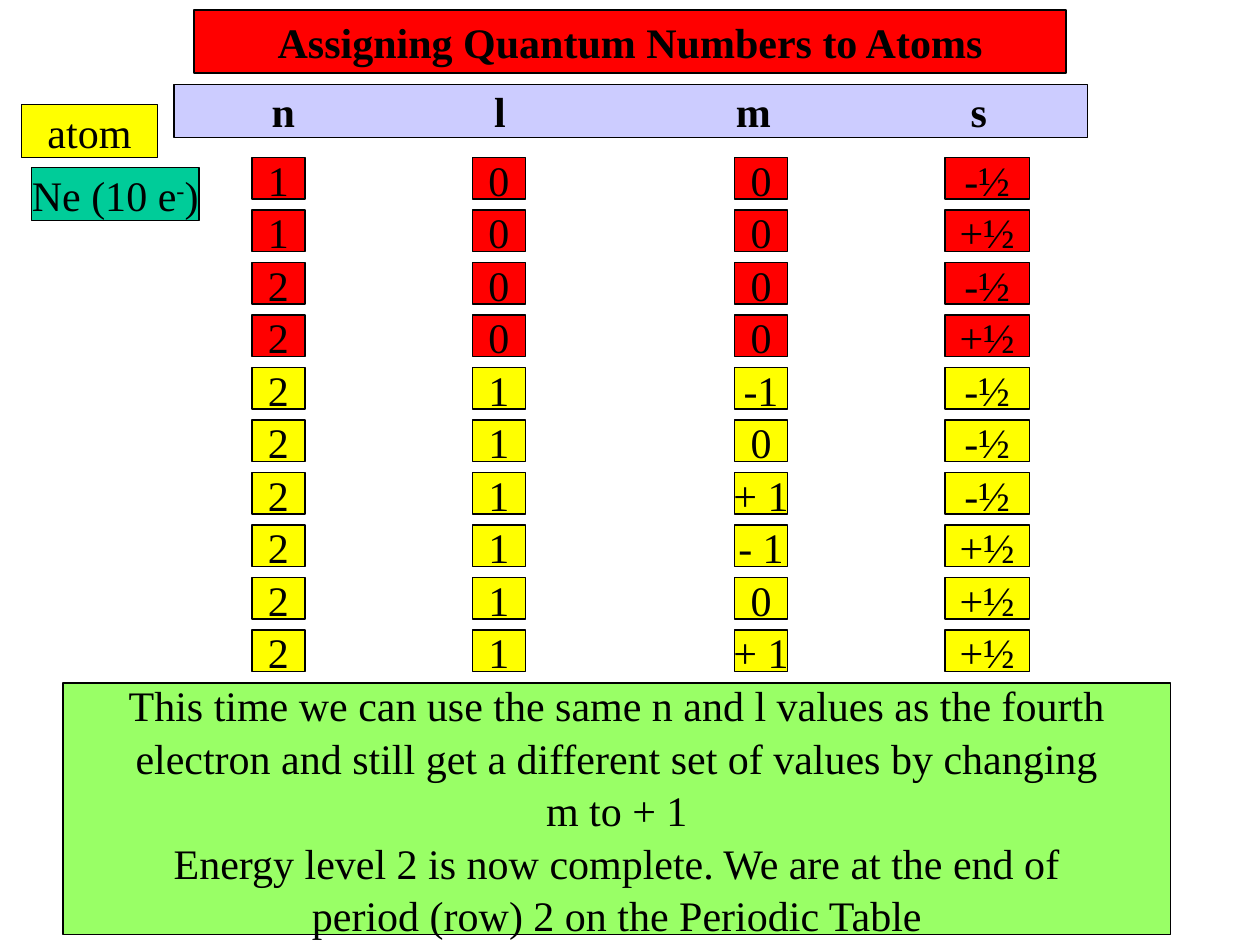
from lxml import etree
from pptx import Presentation
from pptx.dml.color import RGBColor
from pptx.enum.shapes import MSO_SHAPE
from pptx.enum.text import MSO_ANCHOR, MSO_AUTO_SIZE, PP_ALIGN
from pptx.oxml.ns import qn
from pptx.util import Inches, Pt

RECTANGLE = MSO_SHAPE.RECTANGLE
MIDDLE = MSO_ANCHOR.MIDDLE
NO_AUTOFIT = MSO_AUTO_SIZE.NONE
CENTER, LEFT = PP_ALIGN.CENTER, PP_ALIGN.LEFT

COLORS = {
    "red": "FF0000",
    "yellow": "FFFF00",
    "lavender": "CCCCFF",
    "teal": "00CC99",
    "green": "99FF66",
    "black": "000000",
}
TITLE_ONLY = 5

# Centres of the header letters, measured from the text edge of the header.
HEADER_STOPS = (0.77, 2.49, 4.5, 6.29)
# Left edge and width of each column: n, l, m, s.
COLUMNS = ((2, 0.42), (3.75, 0.42), (5.83, 0.42), (7.5, 0.67))
FIRST_ROW, ROW_PITCH, ROW_HEIGHT = 1.25, 5 / 12, 0.33
ELECTRONS = (
    ("1", "0", "0", "-½"),
    ("1", "0", "0", "+½"),
    ("2", "0", "0", "-½"),
    ("2", "0", "0", "+½"),
    ("2", "1", "-1", "-½"),
    ("2", "1", "0", "-½"),
    ("2", "1", "+ 1", "-½"),
    ("2", "1", "- 1", "+½"),
    ("2", "1", "0", "+½"),
    ("2", "1", "+ 1", "+½"),
)
NOTE = (
    "This time we can use the same n and l values as the fourth",
    "electron and still get a different set of values by changing",
    "m to + 1",
    "Energy level 2 is now complete. We are at the end of",
    "period (row) 2 on the Periodic Table",
)


def color(name):
    """Return the named colour."""
    return RGBColor.from_string(COLORS[name])


def add_span(para, text, font="Times New Roman", size=24, bold=False, raised=False):
    """Add formatted text to a paragraph, raised for a superscript."""
    span = para.add_run()
    span.text = text
    span.font.name = font
    span.font.size = Pt(size)
    span.font.bold = bold
    span.font.color.rgb = color("black")
    if raised:
        span.font._element.set("baseline", "30000")


def add_center_stops(para, positions):
    """Give a paragraph centred tab stops at the positions in inches."""
    stops = etree.SubElement(para._p.get_or_add_pPr(), qn("a:tabLst"))
    for position in positions:
        etree.SubElement(stops, qn("a:tab"), pos=str(Inches(position)), algn="ctr")


class SlideBuilder:
    """Holds the page and the style shared by its boxes."""

    def __init__(self, page, line_width=0.74, line_spacing=1.04):
        """Keep the page and the common settings."""
        self.page = page
        self.line_width = line_width
        self.line_spacing = line_spacing

    def style(self, box, place, fill, wrap=False):
        """Place, fill and outline a box, and return its text frame."""
        box.left, box.top, box.width, box.height = map(Inches, place)
        box.fill.solid()
        box.fill.fore_color.rgb = color(fill)
        box.line.color.rgb = color("black")
        box.line.width = Pt(self.line_width)
        frame = box.text_frame
        frame.auto_size = NO_AUTOFIT
        frame.word_wrap = wrap
        frame.vertical_anchor = MIDDLE
        return frame

    def title(self, text, place, fill):
        """Fill the title placeholder."""
        frame = self.style(self.page.shapes.title, place, fill)
        frame.paragraphs[0].alignment = CENTER
        add_span(frame.paragraphs[0], text, bold=True)

    def rectangle(self, place, fill, wrap=False):
        """Add a plain rectangle and return its text frame."""
        box = self.page.shapes.add_shape(RECTANGLE, *map(Inches, place))
        box.shadow.inherit = False
        return self.style(box, place, fill, wrap)

    def label(self, lines, place, fill):
        """Add a box of centred lines, each a list of (text, raised) pairs."""
        frame = self.rectangle(place, fill)
        for index, line in enumerate(lines):
            para = frame.add_paragraph() if index else frame.paragraphs[0]
            para.alignment = CENTER
            para.line_spacing = self.line_spacing
            for text, raised in line:
                add_span(para, text, raised=raised)

    def header(self, names, stops, place, fill):
        """Add a bar with one bold name at each tab stop."""
        para = self.rectangle(place, fill, wrap=True).paragraphs[0]
        para.alignment = LEFT
        add_center_stops(para, stops)
        add_span(para, "".join("\t" + name for name in names), bold=True)

    def electron_rows(self):
        """Add one box for each quantum number of each electron."""
        for row, numbers in enumerate(ELECTRONS):
            top = FIRST_ROW + row * ROW_PITCH
            fill = "yellow" if numbers[1] == "1" else "red"
            for number, (left, width) in zip(numbers, COLUMNS):
                self.label([[(number, False)]], (left, top, width, ROW_HEIGHT), fill)


def main():
    """Build the slide and save it."""
    deck = Presentation()
    deck.slide_width, deck.slide_height = Inches(10), Inches(7.5)
    builder = SlideBuilder(deck.slides.add_slide(deck.slide_layouts[TITLE_ONLY]))
    builder.title("Assigning Quantum Numbers to Atoms", (1.54, 0.08, 6.92, 0.5), "red")
    builder.header("nlms", HEADER_STOPS, (1.38, 0.67, 7.25, 0.42), "lavender")
    builder.label([[("atom", False)]], (0.17, 0.83, 1.08, 0.42), "yellow")
    neon = [("Ne (10 e", False), ("-", True), (")", False)]
    builder.label([neon], (0.25, 1.33, 1.33, 0.42), "teal")
    builder.electron_rows()
    builder.label([[(line, False)] for line in NOTE], (0.5, 5.42, 8.79, 2), "green")
    deck.save("out.pptx")


main()
